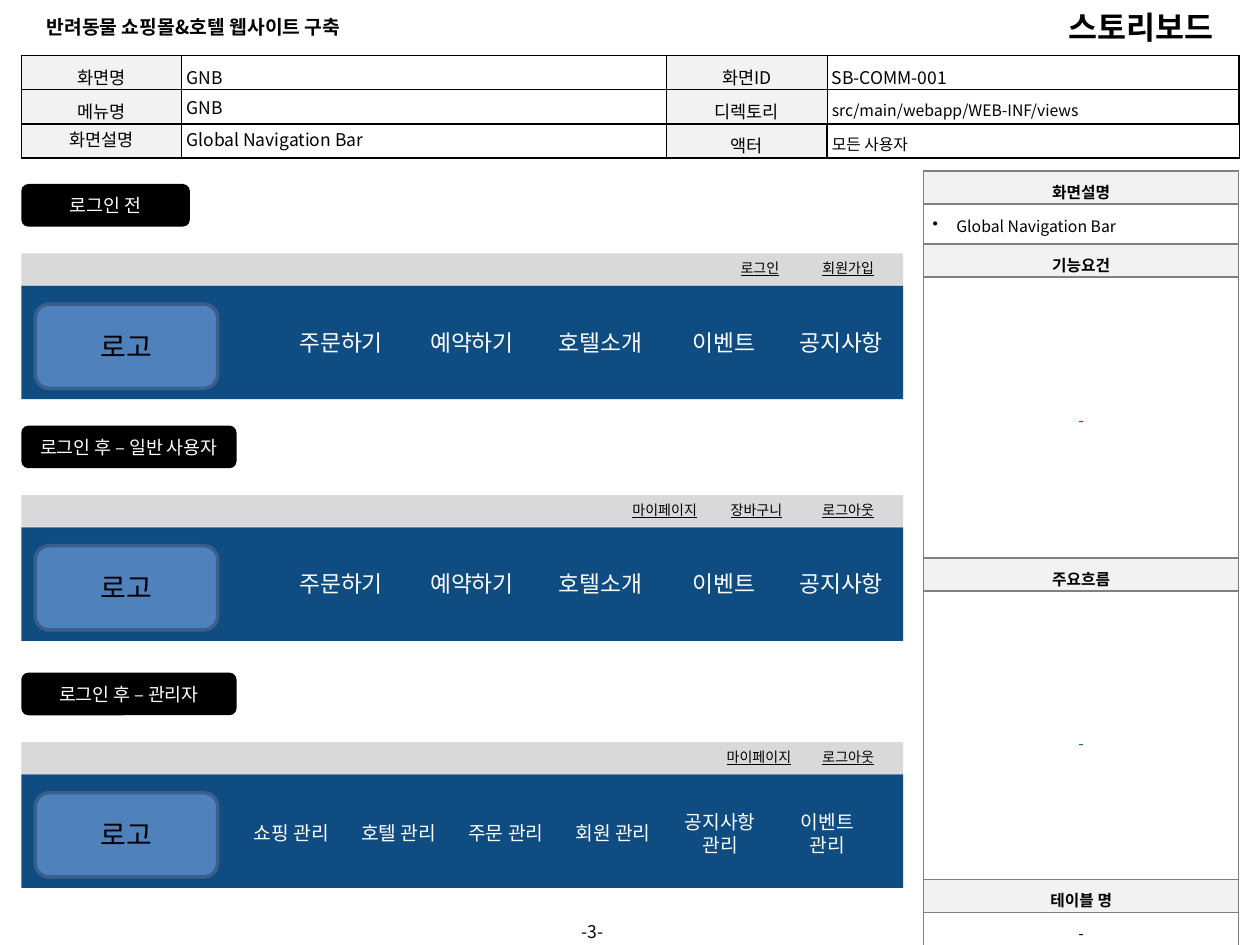
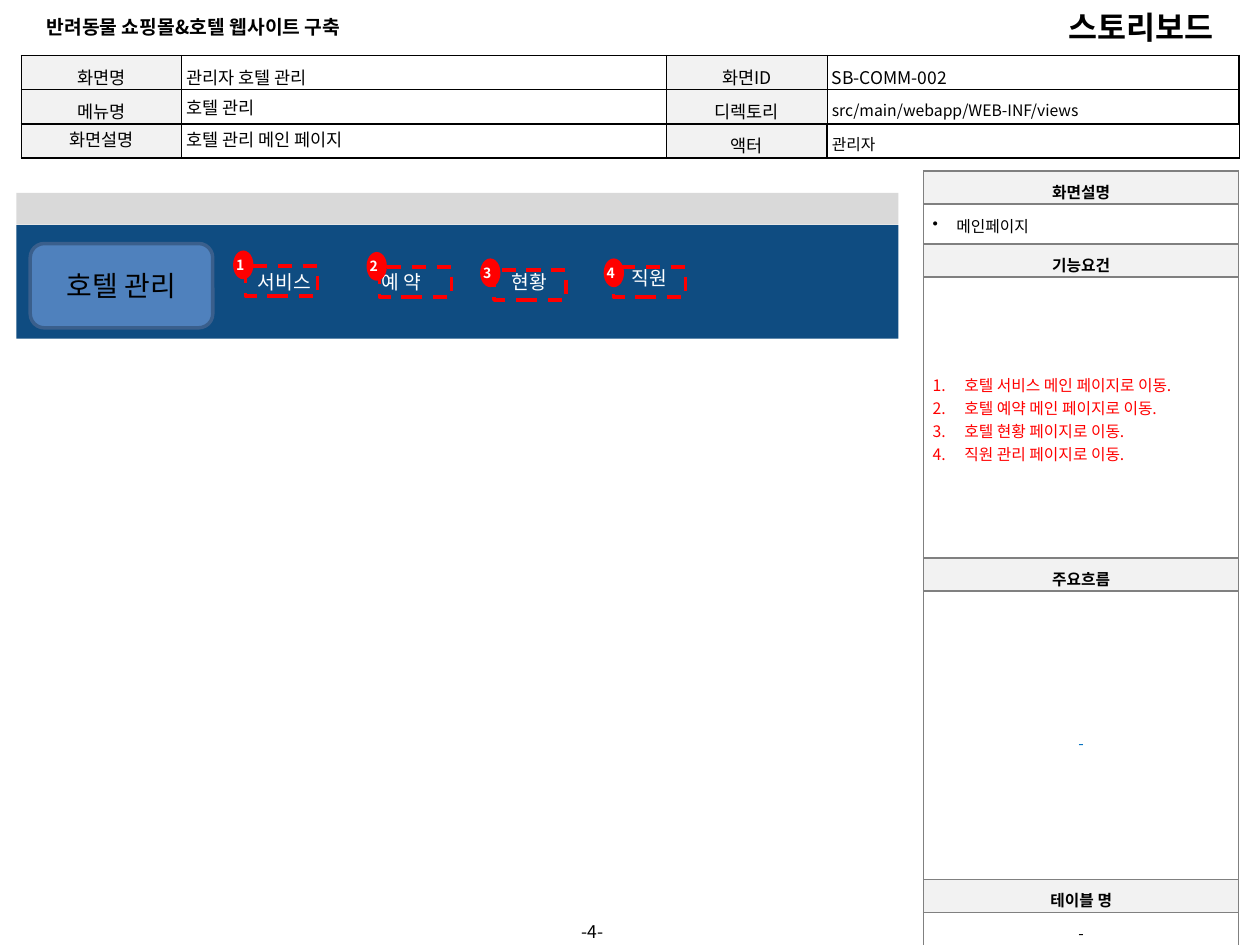
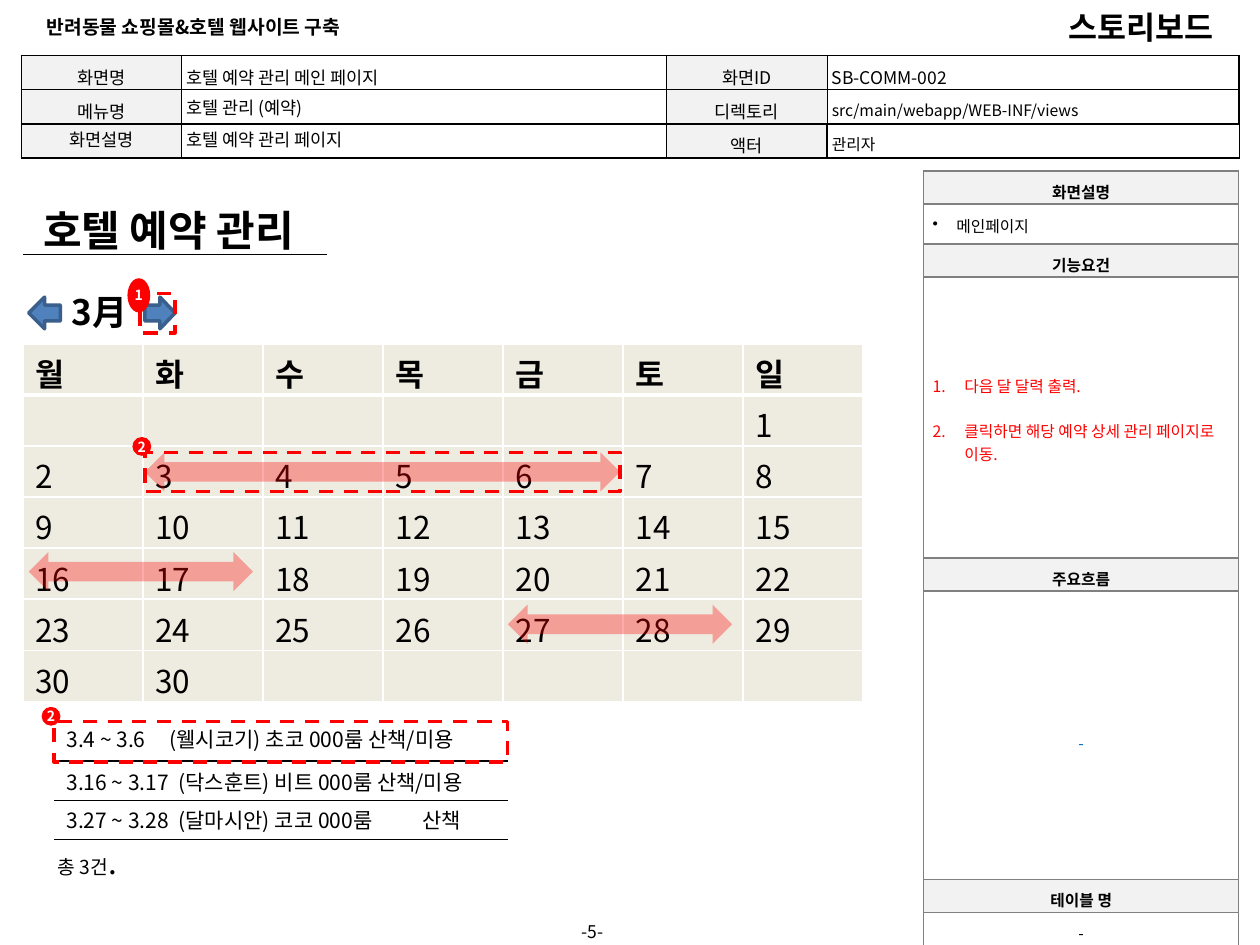
import pptx
import pptx.dml.color
import pptx.enum.dml
import pptx.enum.shapes
import pptx.enum.text
import pptx.oxml
import pptx.oxml.ns
import pptx.util

Cm = pptx.util.Cm
Pt = pptx.util.Pt
SHAPE = pptx.enum.shapes.MSO_SHAPE
ALIGN = pptx.enum.text.PP_ALIGN
ANCHOR = pptx.enum.text.MSO_ANCHOR

FONT = "Noto Sans CJK KR"
COLORS = {
    "black": "000000", "white": "FFFFFF", "label": "F2F2F2", "grid": "808080",
    "navy": "0F4C81", "strip": "D9D9D9", "logo": "4F81BD", "edge": "3A5F8C",
    "red": "FF0000", "blue": "0070C0", "calendar": "EEECE1",
}
LABEL_STYLE = {"align": ALIGN.CENTER, "line_spacing": 1.15, "gap": 3}
SIDE_MARGINS = (0.18, 0.18, 0.18, 0.1)
SHOP_MENU = [(5.77, "주문하기"), (8.41, "예약하기"), (11, "호텔소개"),
             (13.49, "이벤트"), (15.85, "공지사항")]
ADMIN_MENU = ["쇼핑 관리", "호텔 관리", "주문 관리", "회원 관리", "공지사항\n관리", "이벤트\n관리"]


def rgb(name):
    return pptx.dml.color.RGBColor.from_string(COLORS[name])


def add_xml(parent, tag, **attributes):
    element = pptx.oxml.parse_xml(f"<a:{tag} {pptx.oxml.ns.nsdecls('a')}/>")
    for key, value in attributes.items():
        element.set(key, str(value))
    parent.append(element)
    return element


class Storyboard:
    """Holds the shared style and the slide being drawn."""

    def __init__(self):
        self.presentation = pptx.Presentation()
        self.presentation.slide_width = Cm(25.4)
        self.presentation.slide_height = Cm(19.05)
        self.slide = None

    # Text
    def styled_run(self, paragraph, text, size=10, color="black", bold=False, underline=False):
        run = paragraph.add_run()
        run.text = text
        font = run.font
        font.name, font.size, font.bold = FONT, Pt(size), bold
        font.underline = underline
        font.color.rgb = rgb(color)
        add_xml(run._r.get_or_add_rPr(), "ea", typeface=FONT)

    def fill_text(self, frame, text, align=ALIGN.LEFT, line_spacing=None, gap=0,
                  bullet=None, between=0, tabs=(), **font):
        for index, line in enumerate(text.split("\n")):
            paragraph = frame.add_paragraph() if index else frame.paragraphs[0]
            paragraph.alignment = align
            paragraph.line_spacing = line_spacing
            paragraph.space_before = Pt(between if index else gap)
            paragraph.space_after = Pt(gap)
            properties = paragraph._p.get_or_add_pPr()
            if bullet:
                indent = Cm(0.48 if bullet == "•" else 0.64)
                properties.set("marL", str(indent))
                properties.set("indent", str(-indent))
                if bullet == "•":
                    add_xml(properties, "buChar", char=bullet)
                else:
                    add_xml(properties, "buAutoNum", type=bullet)
            if tabs:
                stops = add_xml(properties, "tabLst")
                for stop in tabs:
                    add_xml(stops, "tab", pos=Cm(stop), algn="l")
            self.styled_run(paragraph, line, **font)

    def text(self, left, top, width, height, text, anchor=ANCHOR.TOP, margin=None, **style):
        box = self.slide.shapes.add_textbox(Cm(left), Cm(top), Cm(width), Cm(height))
        frame = box.text_frame
        frame.word_wrap = True
        frame.vertical_anchor = anchor
        if margin is not None:
            self.set_margins(frame, [margin] * 4)
        self.fill_text(frame, text, **style)
        return frame

    @staticmethod
    def set_margins(holder, margins):
        (holder.margin_left, holder.margin_top,
         holder.margin_right, holder.margin_bottom) = map(Cm, margins)

    # Shapes and lines
    def shape(self, kind, left, top, width, height, fill=None, line=None, dashed=False,
              alpha=None, text="", align=ALIGN.CENTER, **font):
        shape = self.slide.shapes.add_shape(kind, Cm(left), Cm(top), Cm(width), Cm(height))
        shape.shadow.inherit = False
        if fill:
            shape.fill.solid()
            shape.fill.fore_color.rgb = rgb(fill)
            if alpha:
                color = shape._element.spPr.find(".//" + pptx.oxml.ns.qn("a:srgbClr"))
                add_xml(color, "alpha", val=alpha * 1000)
        else:
            shape.fill.background()
        if line:
            shape.line.color.rgb = rgb(line)
            shape.line.width = Pt(2)
            if dashed:
                shape.line.dash_style = pptx.enum.dml.MSO_LINE.DASH
        else:
            shape.line.fill.background()
        if text:
            shape.text_frame.vertical_anchor = ANCHOR.MIDDLE
            self.fill_text(shape.text_frame, text, align=align, **font)
        return shape

    def rule(self, left, right, top):
        line = self.slide.shapes.add_connector(
            pptx.enum.shapes.MSO_CONNECTOR.STRAIGHT, Cm(left), Cm(top), Cm(right), Cm(top))
        line.line.color.rgb = rgb("black")
        line.line.width = Pt(0.75)
        add_xml(line._element.spPr, "effectLst")

    def callout(self, frame, badge, number, align=ALIGN.CENTER):
        """A dashed frame with its numbered red badge."""
        self.shape(SHAPE.RECTANGLE, *frame, line="red", dashed=True)
        oval = self.shape(SHAPE.OVAL, *badge, fill="red", text=str(number), align=align,
                          size=8, color="white", bold=True)
        oval.text_frame.word_wrap = False
        self.set_margins(oval.text_frame, [0] * 4)

    # Tables
    def table(self, left, top, widths, heights):
        frame = self.slide.shapes.add_table(
            len(heights), len(widths), Cm(left), Cm(top), Cm(sum(widths)), Cm(sum(heights)))
        table = frame.table
        table.first_row = table.horz_banding = False
        for column, width in zip(table.columns, widths):
            column.width = Cm(width)
        for row, height in zip(table.rows, heights):
            row.height = Cm(height)
        return table

    def cell(self, cell, text, fill=None, border="black", widths=(1, 1, 1, 1),
             margins=None, anchor=ANCHOR.MIDDLE, **style):
        """Border widths run left, right, top, bottom."""
        properties = cell._tc.get_or_add_tcPr()
        for side, width in zip("LRTB", widths):
            line = add_xml(properties, "ln" + side, w=Pt(width))
            add_xml(add_xml(line, "solidFill"), "srgbClr", val=COLORS[border])
        if fill:
            cell.fill.solid()
            cell.fill.fore_color.rgb = rgb(fill)
        else:
            cell.fill.background()
        cell.vertical_anchor = anchor
        if margins:
            self.set_margins(cell, margins)
        if text:
            self.fill_text(cell.text_frame, text, **style)

    def side_table(self, top, rows):
        table = self.table(18.62, top, [6.35], [height for height, *_ in rows])
        for index, (_, text, fill, style) in enumerate(rows):
            self.cell(table.cell(index, 0), text, fill, "grid", margins=SIDE_MARGINS,
                      **{"size": 9, **style})

    # Parts on every page
    def page(self, number, screen, screen_id, menu, description, actor, summary, features):
        self.slide = self.presentation.slides.add_slide(self.presentation.slide_layouts[6])
        self.text(11.63, 18.57, 1.85, 0.41, f"-{number}-", ANCHOR.MIDDLE, 0.1)
        self.text(0.69, 0.18, 7.01, 0.74, "반려동물 쇼핑몰&호텔 웹사이트 구축", ANCHOR.MIDDLE,
                  size=11, bold=True)
        self.text(17.7, 0.03, 7.01, 1.02, "스토리보드", ANCHOR.MIDDLE, align=ALIGN.RIGHT,
                  size=18, bold=True)

        # Screen facts
        facts = [["화면명", screen, "화면ID", screen_id],
                 ["메뉴명", menu, "디렉토리", "src/main/webapp/WEB-INF/views"],
                 ["화면설명", description, "액터", actor]]
        table = self.table(0.43, 1.12, [3.23, 9.78, 3.23, 8.31], [0.69] * 3)
        for row, values in enumerate(facts):
            for column, value in enumerate(values):
                label = column % 2 == 0
                style = dict(LABEL_STYLE)
                if column < 2 and row == 2:
                    style.update(line_spacing=Pt(12), gap=0)
                elif (row, column) == (1, 1):
                    style.update(line_spacing=None, gap=0)
                if not label:
                    style["align"] = ALIGN.LEFT
                thin_left = 0.5 if column == 3 and row < 2 else 1
                thin_right = 0.5 if (column == 2 and row < 2) or (row, column) == (2, 3) else 1
                self.cell(table.cell(row, column), value, "label" if label else None,
                          widths=(thin_left, thin_right, 1, 1), margins=[0.1] * 4,
                          size=9 if column == 3 and row else 10, **style)

        # Side notes
        heading = {"align": ALIGN.CENTER, "gap": 3, "bold": True}
        dash = {"align": ALIGN.CENTER}
        self.side_table(3.45, [
            (0.66, "화면설명", "label", heading),
            (0.81, summary, None, {"bullet": "•", "gap": 3}),
            (0.66, "기능요건", "label", heading),
            (5.66, features[0], None, {"color": "red", **features[1]}),
            (0.66, "주요흐름", "label", heading),
            (6.05, "-", "white", {"color": "blue", **dash})])
        self.side_table(17.73, [
            (0.66, "테이블 명", "label", heading),
            (0.66, "-", None, {"gap": 3, **dash})])

    # Navigation bar
    def navigation_bar(self, left, top, logo, links=()):
        self.shape(SHAPE.RECTANGLE, left, top + 0.65, 17.78, 2.29, "navy")
        self.shape(SHAPE.RECTANGLE, left, top, 17.78, 0.64, "strip")
        for link_left, label in links:
            self.text(link_left, top, 2, 0.61, label, size=8, underline=True)
        self.shape(SHAPE.ROUNDED_RECTANGLE, left + 0.28, top + 1.02, 3.68, 1.7,
                   "logo", "edge", text=logo, size=16)

    def menu(self, items, top, width, size):
        for left, label in items:
            self.shape(SHAPE.RECTANGLE, left, top, width, 1.19, "navy",
                       text=label, size=size, color="white")


def build_navigation(board):
    board.page(3, "GNB", "SB-COMM-001", "GNB", "Global Navigation Bar", "모든 사용자",
               "Global Navigation Bar", ("-", {"align": ALIGN.CENTER}))
    admin_menu = [(4.8 + 2.16 * index, label) for index, label in enumerate(ADMIN_MENU)]
    states = [
        (5.11, "로그인 전", 3.4, [(14.68, "로그인"), (16.33, "회원가입")],
         (SHOP_MENU, 1.19, 2.21, 13)),
        (9.98, "로그인 후 – 일반 사용자", 4.34,
         [(12.5, "마이페이지"), (14.48, "장바구니"), (16.33, "로그아웃")],
         (SHOP_MENU, 1.19, 2.21, 13)),
        (14.96, "로그인 후 – 관리자", 4.34, [(14.4, "마이페이지"), (16.33, "로그아웃")],
         (admin_menu, 1.24, 2.16, 11)),
    ]
    for top, state, width, links, (items, offset, item_width, size) in states:
        board.navigation_bar(0.43, top, "로고", links)
        board.menu(items, top + offset, item_width, size)
        board.shape(SHAPE.ROUNDED_RECTANGLE, 0.43, top - 1.4, width, 0.86, "black",
                    text=state, size=10.5, color="white")


def build_hotel_menu(board):
    features = "\n".join(["호텔 서비스 메인 페이지로 이동.", "호텔 예약 메인 페이지로 이동.",
                          "호텔 현황 페이지로 이동.", "직원 관리 페이지로 이동."])
    board.page(4, "관리자 호텔 관리", "SB-COMM-002", "호텔 관리", "호텔 관리 메인 페이지", "관리자",
               "메인페이지", (features, {"bullet": "arabicPeriod"}))
    board.navigation_bar(0.33, 3.89, "호텔 관리")
    board.menu([(4.65, "서비스"), (7.06, "예 약 "), (9.6, "현황")], 5.08, 2.16, 11)
    board.menu([(12.01, "직원")], 5, 2.16, 11)
    places = [((4.95, 5.36), (4.7, 5.05)), ((7.65, 5.38), (7.39, 5.08)),
              ((9.96, 5.44), (9.68, 5.21)), ((12.37, 5.38), (12.17, 5.21))]
    for number, (frame, badge) in enumerate(places, 1):
        board.callout((*frame, 1.45, 0.61), (*badge, 0.41, 0.58), number, ALIGN.LEFT)


def build_reservations(board):
    features = "다음 달 달력 출력.\n클릭하면 해당 예약 상세 관리 페이지로 이동."
    board.page(5, "호텔 예약 관리 메인 페이지", "SB-COMM-002", "호텔 관리 (예약)",
               "호텔 예약 관리 페이지", "관리자", "메인페이지",
               (features, {"bullet": "arabicPeriod", "between": 13}))
    board.shape(SHAPE.RECTANGLE, 0.25, 3.73, 6.3, 1.8, "white",
                text="호텔 예약 관리", size=24, bold=True)
    board.rule(0.46, 6.6, 5.13)

    # Calendar
    days = [""] * 6 + [str(day) for day in range(1, 31)] + ["30"] + [""] * 5
    table = board.table(0.46, 6.93, [2.42] * 7, [1.03] * 7)
    for index, text in enumerate(list("월화수목금토일") + days):
        row, column = divmod(index, 7)
        board.cell(table.cell(row, column), text, "calendar", "white",
                   (1, 1, 3 if row == 1 else 1, 1 if row else 3),
                   anchor=ANCHOR.TOP, size=18, bold=row == 0)

    # Month switch
    board.shape(SHAPE.RECTANGLE, 1.09, 5.64, 1.83, 1.27, "white",
                text="3月", size=20, bold=True)
    board.shape(SHAPE.RIGHT_ARROW, 2.92, 5.99, 0.61, 0.64, "logo", "edge")
    board.shape(SHAPE.LEFT_ARROW, 0.58, 5.99, 0.64, 0.64, "logo", "edge")

    # Booked stays
    first_stay = (2.92, 9.12, 9.58, 0.79)
    for stay in [first_stay, (0.58, 11.13, 4.52, 0.79), (10.24, 12.19, 4.52, 0.79)]:
        board.shape(SHAPE.LEFT_RIGHT_ARROW, *stay, fill="red", alpha=33)
    board.callout(first_stay, (2.67, 8.81, 0.38, 0.38), 2)
    board.callout((2.82, 5.92, 0.71, 0.79), (2.57, 5.61, 0.46, 0.69), 1)

    # Booking list
    total = board.text(0.91, 16.87, 5.11, 1.02, "총 3건", size=11)
    board.styled_run(total.paragraphs[0], ".", size=18)
    bookings = [(14.53, "3.4 ~ 3.6\t(웰시코기) 초코 000룸 산책/미용", [2.08]),
                (15.39, "3.16 ~ 3.17\t(닥스훈트) 비트 000룸 산책/미용", [2.26]),
                (16.15, "3.27 ~ 3.28\t(달마시안) 코코 000룸\t산책", [2.26, 7.18])]
    for index, (top, text, tabs) in enumerate(bookings):
        board.text(1.09, top, 10.21, 0.76, text, size=12, tabs=tabs)
        board.rule(1.09, 10.24, 15.34 + 0.79 * index)
    board.callout((1.09, 14.55, 9.14, 0.81), (0.84, 14.25, 0.38, 0.38), 2)


def main():
    board = Storyboard()
    build_navigation(board)
    build_hotel_menu(board)
    build_reservations(board)
    board.presentation.save("out.pptx")


if __name__ == "__main__":
    main()
